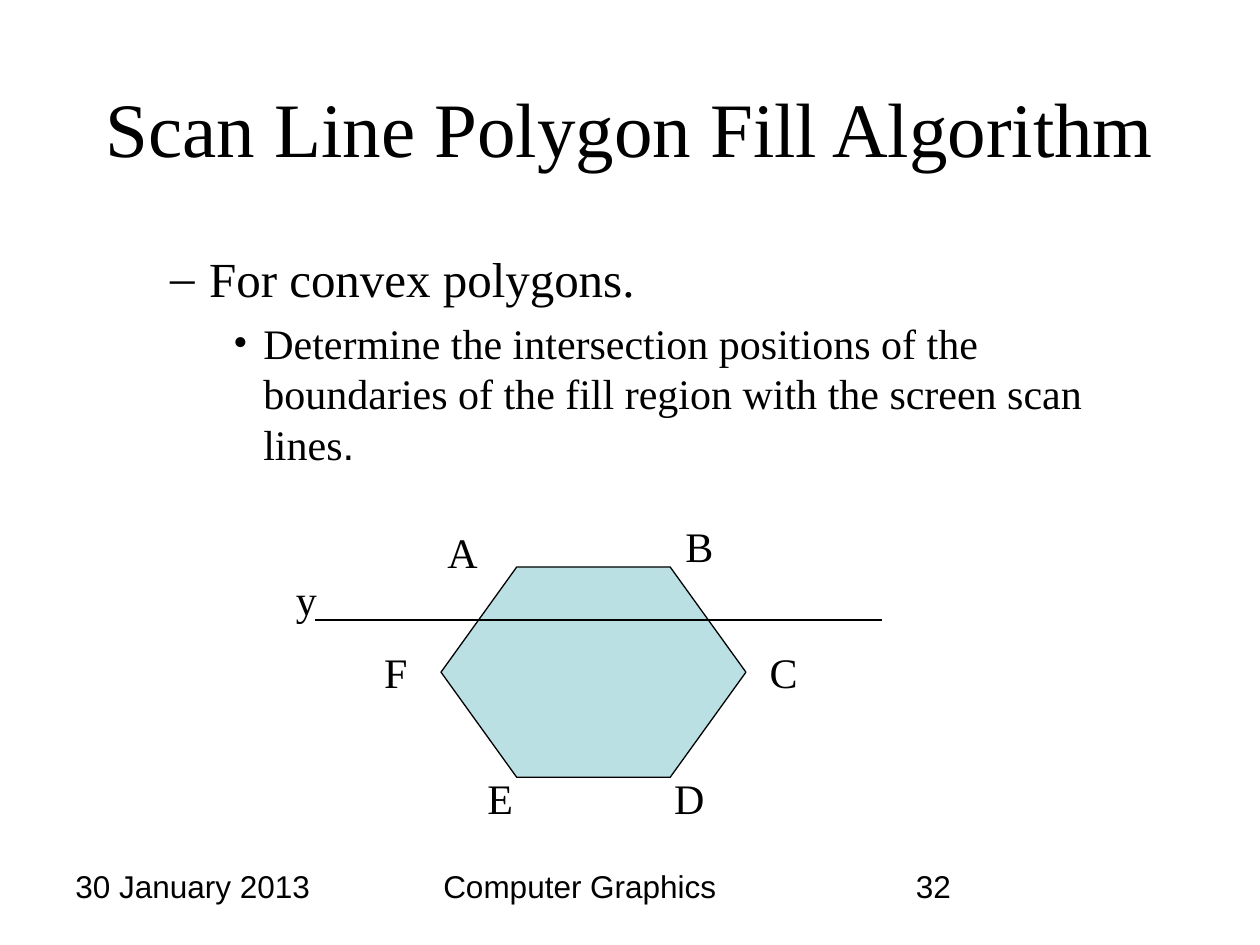
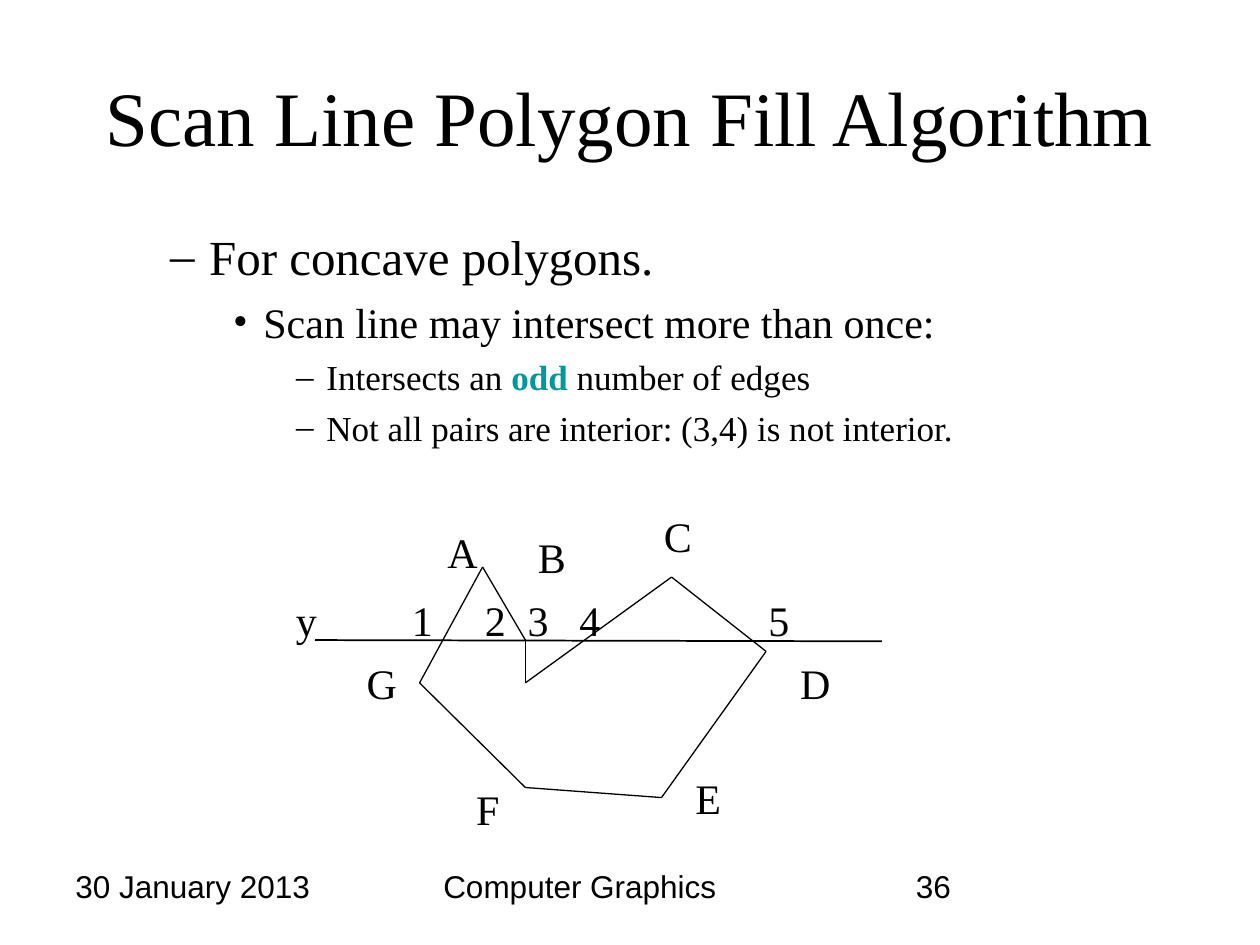
"""Build two slides on the scan line polygon fill algorithm."""
from lxml.etree import SubElement
from pptx import Presentation
from pptx.dml.color import RGBColor
from pptx.enum.shapes import MSO_CONNECTOR, MSO_SHAPE
from pptx.enum.text import MSO_ANCHOR, MSO_AUTO_SIZE, PP_ALIGN
from pptx.oxml.ns import qn
from pptx.util import Inches, Pt

COLORS = {"ink": "000000", "polygon": "BBE0E3", "accent": "009999"}
SERIF, SANS = "Times New Roman", "Arial"
TITLE = "Scan Line Polygon Fill Algorithm"
FOOTERS = [("30 January 2013", 0.5, 2.33), ("Computer Graphics", 3.42, 3.16)]
NUMBER_LEFT, NUMBER_WIDTH = 7.17, 2.33
FOOTER_TOP, FOOTER_HEIGHT = 6.83, 0.51

LEVELS = {
    1: {"size": 28, "margin": 0.81, "hang": 0.31, "before": 7, "bullet": "–"},
    2: {"size": 24, "margin": 1.24, "hang": 0.24, "before": 6, "bullet": "•"},
    3: {"size": 20, "margin": 1.74, "hang": 0.24, "before": 5, "bullet": "–"},
}
LABEL_WIDTHS = {"A": 0.44, "B": 0.42, "C": 0.42, "D": 0.44, "E": 0.4, "F": 0.38, "G": 0.44}
OTHER_LABEL_WIDTH, LABEL_HEIGHT = 0.36, 0.5

CONVEX = {
    "number": "32",
    "title_top": 0.42,
    "body_top": 1.92,
    "points": [
        (1, [("For convex polygons.", {})]),
        (2, [("Determine the intersection positions of the boundaries of the fill "
              "region with the screen scan lines", {}), (".", {"font": SANS})]),
    ],
    "hexagon": (3.5, 4.5, 2.42, 1.67),
    "vertices": [],
    "scan_line": [(2.5, 4.92), (7, 4.92)],
    "labels": [("A", 3.45, 4.13), ("B", 5.34, 4.08), ("C", 6.01, 5.08), ("D", 5.25, 6.08),
               ("E", 3.77, 6.08), ("F", 2.95, 5.08), ("y", 2.25, 4.5)],
}
CONCAVE = {
    "number": "36",
    "title_top": 0.33,
    "body_top": 1.75,
    "points": [
        (1, [("For concave polygons.", {})]),
        (2, [("Scan line may intersect more than once:", {})]),
        (3, [("Intersects an ", {}), ("odd", {"color": "accent", "bold": True}),
             (" number of edges", {})]),
        (3, [("Not all pairs are interior: (3,4) is not interior.", {})]),
    ],
    "hexagon": None,
    "vertices": [(3.83, 4.5), (4.17, 5.08), (4.17, 5.42), (5.33, 4.58),
                 (6.08, 5.17), (5.25, 6.33), (4.17, 6.25), (3.33, 5.42)],
    "scan_line": [(2.5, 5.08), (7, 5.09)],
    "labels": [("A", 3.45, 4.13), ("B", 4.17, 4.17), ("C", 5.17, 4), ("D", 6.25, 5.17),
               ("E", 5.42, 6.08), ("F", 3.68, 6.17), ("G", 2.81, 5.17), ("y", 2.25, 4.67),
               ("1", 3.17, 4.67), ("2", 3.75, 4.67), ("3", 4.09, 4.67), ("4", 4.5, 4.67),
               ("5", 6, 4.67)],
}


def color(name):
    return RGBColor.from_string(COLORS[name])


def place(shape, left, top, width, height):
    shape.left, shape.top = Inches(left), Inches(top)
    shape.width, shape.height = Inches(width), Inches(height)


def add_span(para, text, size, font=SERIF, ink="ink", bold=False):
    span = para.add_run()
    span.text = text
    span.font.size, span.font.name, span.font.bold = Pt(size), font, bold
    span.font.color.rgb = color(ink)


def add_text(page, text, at, size, font, wrap=True):
    box = page.shapes.add_textbox(*map(Inches, at))
    frame = box.text_frame
    frame.word_wrap = wrap
    para = frame.paragraphs[0]
    if not wrap:
        frame.auto_size = MSO_AUTO_SIZE.SHAPE_TO_FIT_TEXT
        para.alignment = PP_ALIGN.CENTER
    add_span(para, text, size, font)


def add_line(page, start, end, weight):
    line = page.shapes.add_connector(MSO_CONNECTOR.STRAIGHT, *map(Inches, (*start, *end)))
    line.line.color.rgb = color("ink")
    line.line.width = Pt(weight)
    SubElement(line._element.spPr, qn("a:effectLst"))


def add_bullet(para, style):
    props = para._p.get_or_add_pPr()
    props.set("marL", str(Inches(style["margin"])))
    props.set("indent", str(-Inches(style["hang"])))
    bullet_color = SubElement(props, qn("a:buClr"))
    SubElement(bullet_color, qn("a:srgbClr"), val=COLORS["ink"])
    SubElement(props, qn("a:buFont"), typeface=SERIF)
    SubElement(props, qn("a:buChar"), char=style["bullet"])


def fill_title(page, top):
    title = page.shapes.title
    place(title, 0.5, top, 9, 1.17)
    frame = title.text_frame
    frame.auto_size = MSO_AUTO_SIZE.NONE
    frame.vertical_anchor = MSO_ANCHOR.MIDDLE
    frame.paragraphs[0].alignment = PP_ALIGN.CENTER
    add_span(frame.paragraphs[0], TITLE, 44)


def fill_body(page, top, points):
    body = page.placeholders[1]
    place(body, 0.75, top, 8.5, 4.83)
    frame = body.text_frame
    frame.auto_size = MSO_AUTO_SIZE.NONE
    for index, (level, spans) in enumerate(points):
        para = frame.add_paragraph() if index else frame.paragraphs[0]
        style = LEVELS[level]
        para.level = level
        add_bullet(para, style)
        para.space_before = Pt(style["before"] if index else 0)
        for text, look in spans:
            add_span(para, text, style["size"], look.get("font", SERIF),
                     look.get("color", "ink"), look.get("bold", False))


def add_hexagon(page, at):
    hexagon = page.shapes.add_shape(MSO_SHAPE.HEXAGON, *map(Inches, at))
    hexagon.adjustments[0] = 0.36
    hexagon.shadow.inherit = False
    hexagon.fill.solid()
    hexagon.fill.fore_color.rgb = color("polygon")
    hexagon.line.color.rgb = color("ink")
    hexagon.line.width = Pt(0.75)


def build_page(deck, content):
    page = deck.slides.add_slide(deck.slide_layouts[1])
    fill_title(page, content["title_top"])
    fill_body(page, content["body_top"], content["points"])
    for text, left, width in FOOTERS + [(content["number"], NUMBER_LEFT, NUMBER_WIDTH)]:
        add_text(page, text, (left, FOOTER_TOP, width, FOOTER_HEIGHT), 18, SANS)
    if content["hexagon"]:
        add_hexagon(page, content["hexagon"])
    vertices = content["vertices"]
    for start, end in zip(vertices, vertices[1:] + vertices[:1]):
        add_line(page, start, end, 0.75)
    add_line(page, *content["scan_line"], 1)
    for text, left, top in content["labels"]:
        width = LABEL_WIDTHS.get(text, OTHER_LABEL_WIDTH)
        add_text(page, text, (left, top, width, LABEL_HEIGHT), 24, SERIF, wrap=False)


def main():
    deck = Presentation()
    deck.slide_width, deck.slide_height = Inches(10), Inches(7.5)
    for content in (CONVEX, CONCAVE):
        build_page(deck, content)
    deck.save("out.pptx")


if __name__ == "__main__":
    main()
